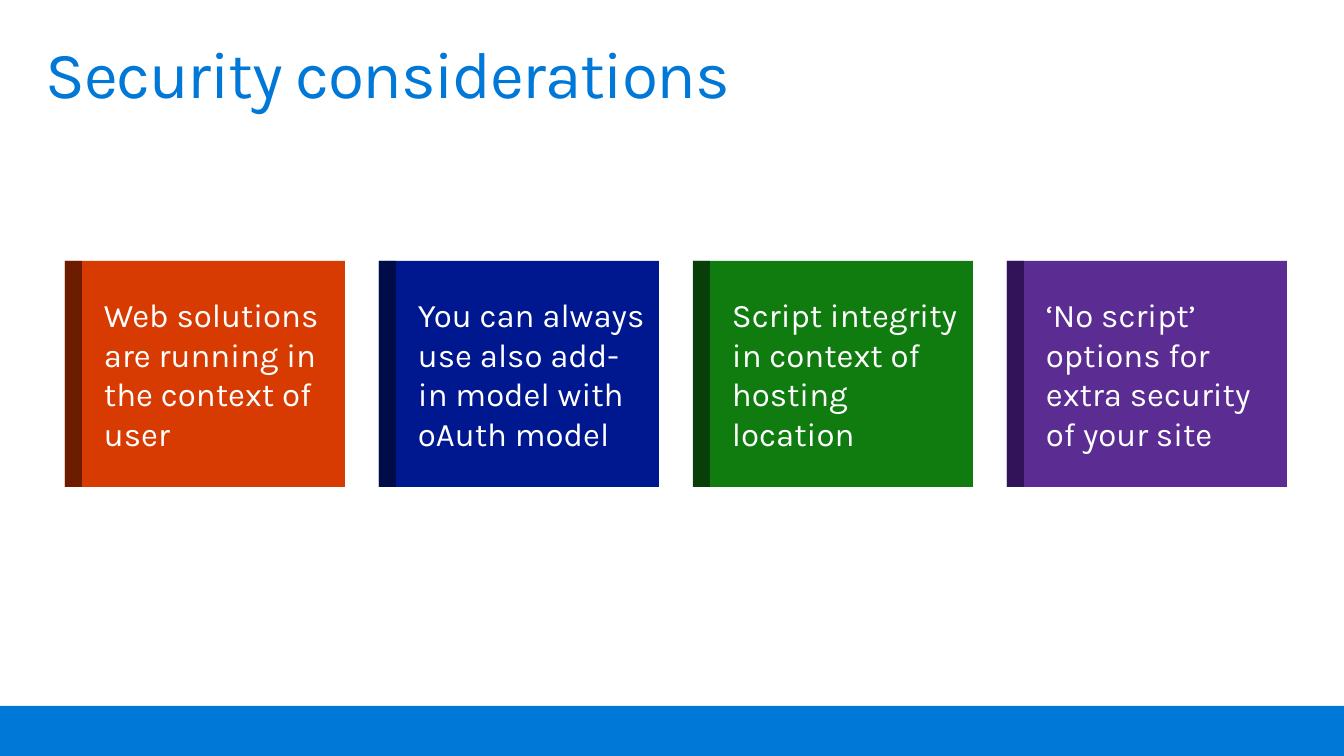
"""Build the "Security considerations" slide with four coloured cards."""
from pptx import Presentation
from pptx.dml.color import RGBColor
from pptx.enum.shapes import MSO_SHAPE
from pptx.enum.text import MSO_ANCHOR, PP_ALIGN
from pptx.util import Pt

PX = 9255
WIDTH, HEIGHT = 1344, 756
CARD_LEFT, CARD_TOP, CARD_PITCH = 65, 261, 314
CARD_W, CARD_H, STRIPE_W = 280, 226, 17
COLORS = {
    "blue": "0078D7", "white": "FFFFFF",
    "orange": "D83B01", "dark orange": "6C1D00",
    "navy": "00188F", "dark navy": "000C48",
    "green": "107C10", "dark green": "083E08",
    "purple": "5B2C91", "dark purple": "32135A",
}
CARDS = [
    ("orange", "Web solutions are running in the context of user"),
    ("navy", "You can always use also add-in model with oAuth model"),
    ("green", "Script integrity in context of hosting location"),
    ("purple", "‘No script’ options for extra security of your site"),
]


def px(n):
    return n * PX


def rgb(name):
    return RGBColor.from_string(COLORS[name])


def set_attrs(obj, values):
    for name, value in values.items():
        setattr(obj, name, value)


def add_rect(shapes, box, color):
    sp = shapes.add_shape(MSO_SHAPE.RECTANGLE, *map(px, box))
    sp.shadow.inherit = False
    sp.fill.solid()
    sp.fill.fore_color.rgb = rgb(color)
    sp.line.fill.background()
    return sp


def set_text(sp, text, size, color, anchor, margins):
    tf = sp.text_frame
    sides = ("margin_left", "margin_top", "margin_right", "margin_bottom")
    set_attrs(tf, dict(zip(sides, map(px, margins))))
    set_attrs(tf, {"word_wrap": True, "vertical_anchor": anchor})
    p = tf.paragraphs[0]
    p.alignment = PP_ALIGN.LEFT
    r = p.add_run()
    r.text = text
    set_attrs(r.font, {"name": "Karla", "size": Pt(size)})
    r.font.color.rgb = rgb(color)
    return p


def add_title(s, text):
    sp = s.shapes.title
    box = map(px, (30, 32, 1284, 99))
    set_attrs(sp, dict(zip(("left", "top", "width", "height"), box)))
    p = set_text(sp, text, 48, "blue", MSO_ANCHOR.TOP, (16, 10, 16, 10))
    p.line_spacing = 0.9
    p.runs[0].font._element.set("spc", "-100")


def add_card(s, left, color, text):
    shapes = s.shapes.add_group_shape().shapes
    sp = add_rect(shapes, (left, CARD_TOP, CARD_W, CARD_H), color)
    set_text(sp, text, 24, "white", MSO_ANCHOR.MIDDLE, (39, 4, 12, 4))
    add_rect(shapes, (left, CARD_TOP, STRIPE_W, CARD_H), f"dark {color}")


def main():
    prs = Presentation()
    set_attrs(prs, {"slide_width": px(WIDTH), "slide_height": px(HEIGHT)})
    s = prs.slides.add_slide(prs.slide_layouts[5])
    add_rect(s.shapes, (0, 706, WIDTH, 50), "blue")
    add_title(s, "Security considerations")
    for i, (color, text) in enumerate(CARDS):
        add_card(s, CARD_LEFT + i * CARD_PITCH, color, text)
    prs.save("out.pptx")


if __name__ == "__main__":
    main()
